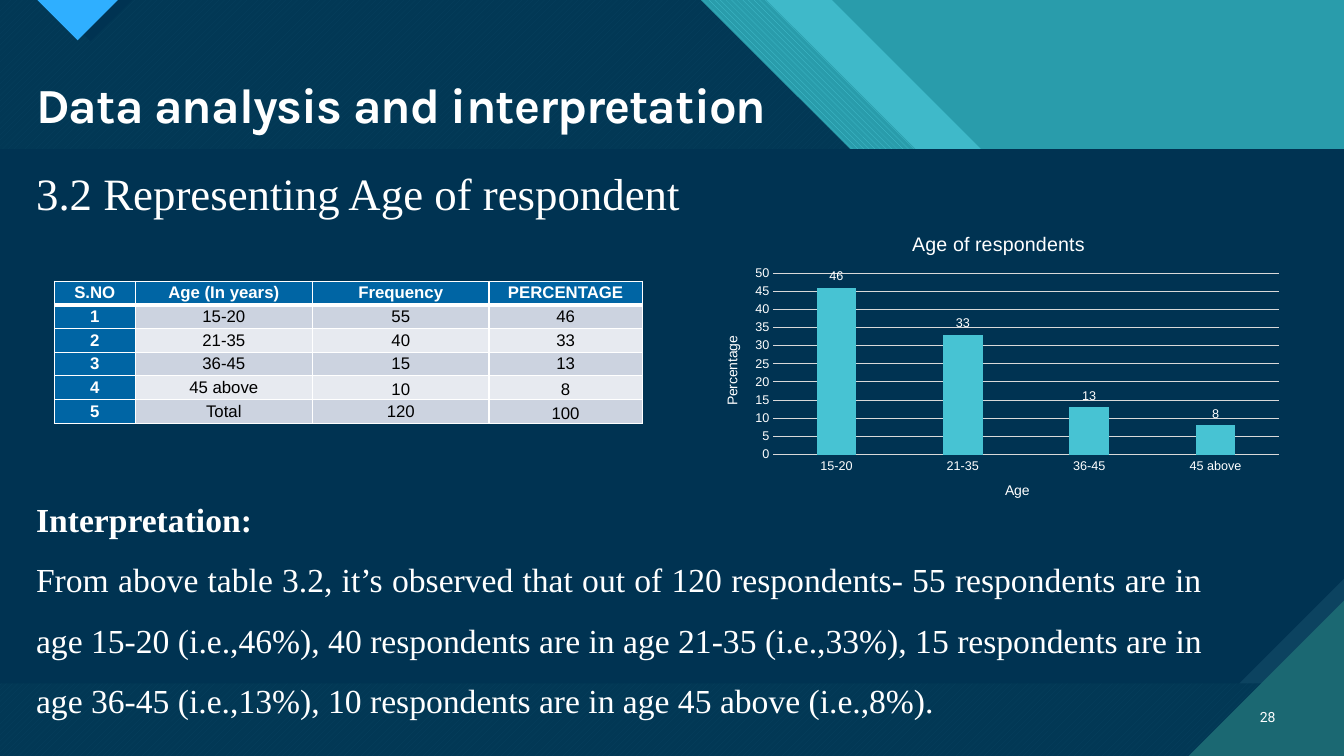
from dataclasses import dataclass

from lxml import etree
from pptx import Presentation
from pptx.chart.data import CategoryChartData
from pptx.dml.color import RGBColor
from pptx.enum.chart import XL_CHART_TYPE as ChartType, XL_LABEL_POSITION as LabelPosition
from pptx.enum.chart import XL_TICK_MARK as TickMark
from pptx.enum.dml import MSO_PATTERN as Pattern
from pptx.enum.text import MSO_ANCHOR as Anchor, PP_ALIGN as Align
from pptx.oxml import parse_xml
from pptx.oxml.ns import nsdecls, qn
from pptx.util import Inches, Pt

WIDTH, HEIGHT = 13.33, 7.5


@dataclass(frozen=True)
class Theme:
    white: str = "FFFFFF"
    black: str = "000000"
    navy: str = "003352"
    navy_light: str = "0C4360"
    teal: str = "299CAB"
    teal_light: str = "3FB9C9"
    teal_dark: str = "1B6872"
    aqua: str = "47C3D3"
    blue: str = "2FAFFF"
    header: str = "0065A4"
    grid: str = "D9D9D9"
    bands: tuple = ("CCD3E0", "E7EAF0")
    title_font: str = "Karla"
    number_font: str = "Roboto"
    body_font: str = "Times New Roman"
    data_font: str = "Arial"
    title_size: float = 35
    subtitle_size: float = 32
    body_size: float = 24
    chart_title_size: float = 14
    table_size: float = 12
    small_size: float = 10
    tick_size: float = 9


class SlideBuilder:
    def __init__(self, slide, theme):
        self.slide, self.theme = slide, theme

    def style(self, font, name, size, color, bold=False):
        font.name, font.size, font.bold = name, Pt(size), bold
        font.color.rgb = RGBColor.from_string(color)

    def run(self, paragraph, text, *style):
        run = paragraph.add_run()
        run.text = text
        self.style(run.font, *style)
        return run

    def polygon(self, points, color, pattern=None, back=None, alpha=None):
        start, *rest = [(Inches(x), Inches(y)) for x, y in points]
        builder = self.slide.shapes.build_freeform(*start)
        builder.add_line_segments(rest, close=True)
        shape = builder.convert_to_shape()
        shape.shadow.inherit = False
        shape.line.fill.background()
        if pattern:
            shape.fill.patterned()
            shape.fill.pattern = pattern
            shape.fill.back_color.rgb = RGBColor.from_string(back)
        else:
            shape.fill.solid()
        shape.fill.fore_color.rgb = RGBColor.from_string(color)
        if alpha:
            value = next(shape._element.spPr.iter(qn("a:srgbClr")))
            etree.SubElement(value, qn("a:alpha")).set("val", str(alpha * 1000))

    def title(self, text, left, top, width, height):
        shape = self.slide.shapes.title
        # Bring the title in front of the shapes drawn so far
        self.slide.shapes._spTree.append(shape._element)
        shape.left, shape.top = Inches(left), Inches(top)
        shape.width, shape.height = Inches(width), Inches(height)
        shape.text_frame.vertical_anchor = Anchor.MIDDLE
        paragraph = shape.text_frame.paragraphs[0]
        paragraph.alignment, paragraph.line_spacing = Align.LEFT, 0.9
        run = self.run(paragraph, text, self.theme.title_font, self.theme.title_size,
                       self.theme.white, True)
        run.font._element.set("spc", "-70")

    def text(self, lines, left, top, width, height, font, size,
             align=Align.JUSTIFY, spacing=1.0, anchor=Anchor.TOP):
        """Each line is a pair of text and bold."""
        frame = self.slide.shapes.add_textbox(
            Inches(left), Inches(top), Inches(width), Inches(height)).text_frame
        frame.word_wrap, frame.vertical_anchor = True, anchor
        for index, (line, bold) in enumerate(lines):
            paragraph = frame.add_paragraph() if index else frame.paragraphs[0]
            paragraph.alignment, paragraph.line_spacing = align, spacing
            self.run(paragraph, line, font, size, self.theme.white, bold)

    def borders(self, cell, row):
        heavy = {"lnB": row == 0, "lnT": row == 1}
        for side in ("lnL", "lnR", "lnT", "lnB"):
            width = Pt(3 if heavy.get(side) else 1)
            cell._tc.get_or_add_tcPr().append(parse_xml(
                f'<a:{side} {nsdecls("a")} w="{width}"><a:solidFill>'
                f'<a:srgbClr val="{self.theme.white}"/></a:solidFill></a:{side}>'))

    def table(self, rows, widths, left, top, height, bottom_cells):
        theme = self.theme
        table = self.slide.shapes.add_table(
            len(rows), len(widths), Inches(left), Inches(top),
            Inches(sum(widths)), Inches(height)).table
        for column, width in zip(table.columns, widths):
            column.width = Inches(width)
        for r, row in enumerate(rows):
            table.rows[r].height = Inches(height / len(rows))
            for c, text in enumerate(row):
                cell = table.cell(r, c)
                strong = r == 0 or c == 0
                cell.margin_left = cell.margin_right = Inches(0.07)
                cell.margin_top = cell.margin_bottom = 0
                cell.vertical_anchor = Anchor.BOTTOM if (r, c) in bottom_cells else Anchor.MIDDLE
                self.borders(cell, r)
                cell.fill.solid()
                cell.fill.fore_color.rgb = RGBColor.from_string(
                    theme.header if strong else theme.bands[(r - 1) % 2])
                paragraph = cell.text_frame.paragraphs[0]
                paragraph.alignment = Align.CENTER
                self.run(paragraph, text, theme.data_font, theme.table_size,
                         theme.white if strong else theme.black, strong)

    def place(self, element, x, y, size=None):
        """Set a manual layout, in fractions of the chart."""
        for old in element.findall(qn("c:layout")):
            element.remove(old)
        target = '<c:layoutTarget val="inner"/>' if size else ""
        extent = f'<c:w val="{size[0]}"/><c:h val="{size[1]}"/>' if size else ""
        layout = parse_xml(
            f'<c:layout {nsdecls("c")}><c:manualLayout>{target}<c:xMode val="edge"/>'
            f'<c:yMode val="edge"/><c:x val="{x}"/><c:y val="{y}"/>{extent}'
            '</c:manualLayout></c:layout>')
        element.insert(0 if size else 1, layout)

    def chart_title(self, owner, text, size, x, y):
        title = owner.chart_title if hasattr(owner, "chart_title") else owner.axis_title
        self.run(title.text_frame.paragraphs[0], text, self.theme.data_font, size,
                 self.theme.white)
        self.place(title._element, x, y)

    def column_chart(self, categories, values, left, top, width, height):
        theme = self.theme
        data = CategoryChartData()
        data.categories = categories
        data.add_series("Series 1", values)
        chart = self.slide.shapes.add_chart(
            ChartType.COLUMN_CLUSTERED, Inches(left), Inches(top),
            Inches(width), Inches(height), data).chart
        self.style(chart.font, theme.data_font, theme.small_size, theme.white)
        chart.has_legend = False
        self.chart_title(chart, "Age of respondents", theme.chart_title_size, 0.35, 0.04)
        category_axis, value_axis = chart.category_axis, chart.value_axis
        self.chart_title(category_axis, "Age", theme.small_size, 0.51, 0.87)
        self.chart_title(value_axis, "Percentage", theme.small_size, 0.03, 0.39)
        for axis in (category_axis, value_axis):
            axis.major_tick_mark = axis.minor_tick_mark = TickMark.NONE
            self.style(axis.tick_labels.font, theme.data_font, theme.tick_size, theme.white)
        value_axis.minimum_scale, value_axis.maximum_scale, value_axis.major_unit = 0, 50, 5
        value_axis.format.line.fill.background()
        for line in (category_axis.format.line, value_axis.major_gridlines.format.line):
            line.width = Pt(0.75)
            line.color.rgb = RGBColor.from_string(theme.grid)
        plot = chart.plots[0]
        plot.gap_width, plot.overlap, plot.vary_by_categories = 219, -27, False
        series = plot.series[0]
        series.format.fill.solid()
        series.format.fill.fore_color.rgb = RGBColor.from_string(theme.aqua)
        labels = series.data_labels
        labels.show_value, labels.position = True, LabelPosition.OUTSIDE_END
        self.style(labels.font, theme.data_font, theme.tick_size, theme.white)
        self.place(chart._chartSpace.chart.plotArea, 0.12, 0.19, (0.86, 0.6))


def main():
    theme = Theme()
    presentation = Presentation()
    presentation.slide_width, presentation.slide_height = Inches(WIDTH), Inches(HEIGHT)
    slide = presentation.slides.add_slide(presentation.slide_layouts[5])
    slide.background.fill.solid()
    slide.background.fill.fore_color.rgb = RGBColor.from_string(theme.teal)
    builder = SlideBuilder(slide, theme)

    # Diagonal bands across the top, then the navy body
    band_top, band_bottom = 1.48, 6.78

    def slanted(edge):
        return [(0, 0), (edge, 0), (edge + band_top, band_top), (WIDTH, band_top),
                (WIDTH, HEIGHT), (0, HEIGHT)]

    builder.polygon(slanted(8.25), theme.teal_light)
    builder.polygon(slanted(7.6), theme.aqua, Pattern.WIDE_DOWNWARD_DIAGONAL, theme.teal)
    builder.polygon(slanted(6.95), theme.aqua, Pattern.WIDE_UPWARD_DIAGONAL, theme.teal_dark)
    builder.polygon(slanted(6.95), theme.navy, alpha=90)

    # Top marker, middle panel and corner
    builder.polygon([(0.48, 0), (1.31, 0), (0.9, 0.41)], theme.navy)
    builder.polygon([(0.37, 0), (1.17, 0), (0.77, 0.4)], theme.blue)
    snip = 1.04
    builder.polygon([(WIDTH, band_bottom - snip), (WIDTH, band_bottom),
                     (WIDTH - snip, band_bottom)], theme.navy_light)
    builder.polygon([(0, band_top), (WIDTH, band_top), (WIDTH, band_bottom - snip),
                     (WIDTH - snip, band_bottom), (0, band_bottom)], theme.navy)
    builder.polygon([(11.79, HEIGHT), (WIDTH, HEIGHT), (WIDTH, 5.96)], theme.teal_dark)

    # Headings and page number
    builder.title("Data analysis and interpretation", 0.26, 0.75, 7.56, 0.63)
    builder.text([("28", False)], 12.31, 6.91, 0.44, 0.4, theme.number_font,
                 theme.small_size, Align.RIGHT, anchor=Anchor.MIDDLE)
    builder.text([("3.2 Representing Age of respondent", False)], 0.26, 1.59, 7.15, 0.64,
                 theme.body_font, theme.subtitle_size)

    # Interpretation
    builder.text([
        ("Interpretation:", True),
        ("From above table 3.2, it’s observed that out of 120 respondents- 55 respondents "
         "are in age 15-20 (i.e.,46%), 40 respondents are in age 21-35 (i.e.,33%), "
         "15 respondents are in age 36-45 (i.e.,13%), 10 respondents are in age 45 above "
         "(i.e.,8%).", False),
    ], 0.26, 4.7, 11.76, 2.46, theme.body_font, theme.body_size, spacing=1.5)

    # Age table and chart
    ages, percentages = ["15-20", "21-35", "36-45", "45 above"], [46, 33, 13, 8]
    records = zip(ages + ["Total"], [55, 40, 15, 10, 120], percentages + [100])
    rows = [["S.NO", "Age (In years)", "Frequency", "PERCENTAGE"]]
    rows += [[str(number), age, str(count), str(share)]
             for number, (age, count, share) in enumerate(records, 1)]
    builder.table(rows, [0.8, 1.76, 1.75, 1.52], 0.54, 2.79, 1.41, {(4, 2), (4, 3), (5, 3)})
    builder.column_chart(ages, percentages, 6.97, 2.14, 5.83, 3)

    presentation.save("out.pptx")


if __name__ == "__main__":
    main()
